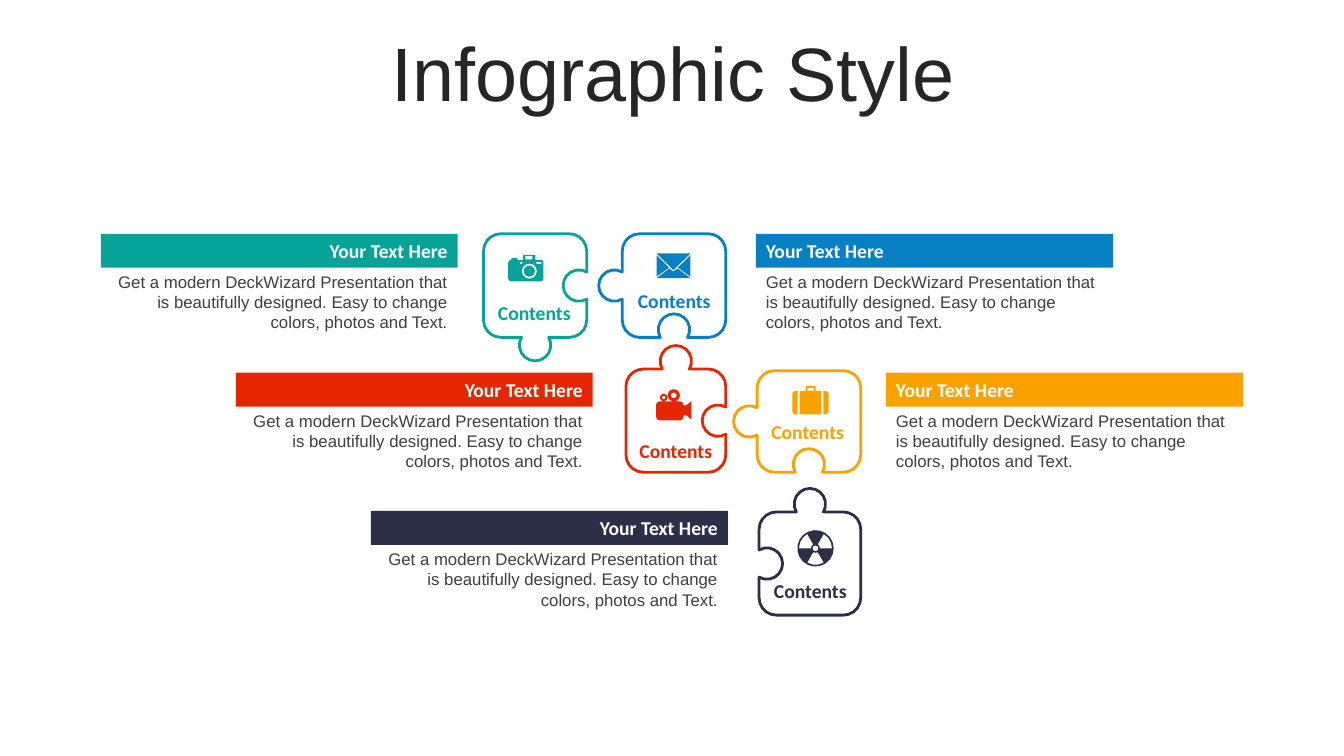
from math import asin, ceil, cos, pi, radians, sin, sqrt

from pptx import Presentation
from pptx.dml.color import RGBColor
from pptx.enum.shapes import MSO_SHAPE
from pptx.enum.text import MSO_ANCHOR, MSO_AUTO_SIZE, PP_ALIGN
from pptx.util import Pt

LEFT, CENTER, RIGHT = PP_ALIGN.LEFT, PP_ALIGN.CENTER, PP_ALIGN.RIGHT
MIDDLE, TOP = MSO_ANCHOR.MIDDLE, MSO_ANCHOR.TOP
FIT, NO_FIT = MSO_AUTO_SIZE.SHAPE_TO_FIT_TEXT, MSO_AUTO_SIZE.NONE
RECT = MSO_SHAPE.RECTANGLE

COLORS = {
    "teal": "07A398", "blue": "0680C3", "red": "E62601", "yellow": "FBA200",
    "navy": "2C2F45", "white": "FFFFFF", "title": "262626", "body": "3F3F3F",
}
TITLE = "Infographic Style"
HEADING = "Your Text Here"
BODY = ("Get a modern DeckWizard Presentation that is beautifully designed. "
        "Easy to change colors, photos and Text.")
LABEL = "Contents"

PANELS = [
    ("blue", 540, 167, LEFT),
    ("navy", 265, 365, RIGHT),
    ("yellow", 632.9, 266.2, LEFT),
    ("teal", 72, 167, RIGHT),
    ("red", 168.5, 266.2, RIGHT),
]
PIECES = [
    ("teal", (345.4, 167, 73.7, 74), {"right": -1, "bottom": 1}, (344.2, 211.7)),
    ("blue", (444.5, 167, 73.9, 74), {"left": 1, "bottom": -1}, (444.2, 202.8)),
    ("red", (447.1, 263.6, 71.3, 73.7), {"top": 1, "right": -1}, (445.3, 309.9)),
    ("yellow", (540.8, 264.8, 74, 72.5), {"left": 1, "bottom": -1}, (539.5, 296.1)),
    ("navy", (542.2, 365.7, 72.6, 73.7), {"top": 1, "left": -1}, (541.4, 410.2)),
]
ICONS = [
    ("blue", 469, 181, [
        ("poly", (15, 10.8), (24.2, 17.6), (0, 17.6), (9.2, 10.8), (12.1, 13)),
        ("poly", (24.2, 1.3), (24.2, 16.6), (15.2, 10.2)),
        ("poly", (0, 1.3), (9, 10.2), (0, 16.6)),
        ("poly", (0, 0), (24.2, 0), (12.1, 12)),
    ]),
    ("navy", 569.5, 378.7, [
        ("disc", 13, 13, 13),
        ("disc", 13, 13, 2.1),
        ("wedge", 13, 13, 3.2, 11.8, 60),
        ("wedge", 13, 13, 3.2, 11.8, 180),
        ("wedge", 13, 13, 3.2, 11.8, 300),
    ]),
    ("teal", 363, 182, [
        ("box", 0, 3.6, 25.2, 19, (2, 2, 2, 2)),
        ("box", 10.7, 0, 19.5, 3.6, (0, 0, 0, 0)),
        ("box", 12.2, 0.9, 17.3, 3.4, (0, 0, 0, 0)),
        ("box", 2.2, 2.2, 6.5, 3.6, (0, 0, 0, 0)),
        ("box", 8.6, 5, 10.1, 6.5, (0, 0, 0, 0)),
        ("box", 20.2, 5, 23.8, 6.5, (0, 0, 0, 0)),
        ("disc", 15.1, 11.7, 5.4),
        ("disc", 15.1, 11.7, 4),
    ]),
    ("red", 468.7, 278, [
        ("box", 0, 8.8, 19.4, 22.2, (2.2, 2.2, 2.2, 2.2)),
        ("poly", (19.4, 11.5), (21.6, 11.5), (25.2, 8.6), (25.2, 21.6),
         (21.6, 18.7), (19.4, 18.7)),
        ("disc", 12.6, 4.4, 4.4),
        ("disc", 12.6, 4.4, 2.1),
        ("disc", 5.4, 6, 2.7),
        ("disc", 5.4, 6, 1.3),
    ]),
    ("yellow", 566, 275.7, [
        ("box", 0, 3.6, 3.7, 20.2, (2, 0, 0, 2)),
        ("box", 5.2, 3.6, 20.8, 20.2, (0, 0, 0, 0)),
        ("box", 22.2, 3.6, 25.9, 20.2, (0, 2, 2, 0)),
        ("box", 9.5, 0, 16.7, 3.6, (1, 1, 0, 0)),
        ("box", 10.7, 1.4, 15.5, 3.4, (0, 0, 0, 0)),
    ]),
]

CORNER, KNOB, OFFSET = 12.4, 11.2, 5.6
PANEL_W, BAR_H, BODY_DROP, BODY_H = 254.9, 24.24, 23.6, 50.9
LABEL_W, SMOOTHNESS = 74.9, 0.8
SIDES = [("top", (1, 0), (0, -1)), ("right", (0, 1), (1, 0)),
         ("bottom", (-1, 0), (0, 1)), ("left", (0, -1), (-1, 0))]


def arc(center, u, n, radius, start, end):
    steps = ceil(abs(end - start) * sqrt(radius) * SMOOTHNESS)
    angles = [start + (end - start) * i / steps for i in range(steps + 1)]
    return [tuple(c + radius * (cos(a) * du + sin(a) * dn)
                  for c, du, dn in zip(center, u, n)) for a in angles]


def outline(left, top, width, height, radii, knobs):
    points = []
    mid = (left + width / 2, top + height / 2)
    for (side, u, n), radius in zip(SIDES, radii):
        along, out = (width, height) if u[0] else (height, width)
        if side in knobs:
            sign = knobs[side]
            lift = out / 2 + sign * OFFSET
            center = [m + lift * d for m, d in zip(mid, n)]
            tilt = asin(OFFSET / KNOB)
            points += arc(center, u, [sign * d for d in n], KNOB, pi + tilt, -tilt)
        center = [m + (along / 2 - radius) * du + (out / 2 - radius) * dn
                  for m, du, dn in zip(mid, u, n)]
        points += arc(center, u, n, radius, pi / 2, 0) if radius else [tuple(center)]
    return points


def contour(kind, *args):
    if kind == "poly":
        return list(args)
    if kind == "box":
        x0, y0, x1, y1, (tl, tr, br, bl) = args
        return outline(x0, y0, x1 - x0, y1 - y0, (tr, br, bl, tl), {})
    center = args[:2]
    if kind == "disc":
        return arc(center, (1, 0), (0, 1), args[2], 0, 2 * pi)
    inner, outer, angle = args[2:]
    start, end = radians(angle), radians(angle + 60)
    return (arc(center, (1, 0), (0, 1), outer, start, end)
            + arc(center, (1, 0), (0, 1), inner, end, start))


def paint(sp, fill, line=None):
    sp.shadow.inherit = False
    sp.fill.solid()
    sp.fill.fore_color.rgb = RGBColor.from_string(COLORS[fill])
    if line:
        sp.line.color.rgb = RGBColor.from_string(COLORS[line])
        sp.line.width = Pt(2)
    else:
        sp.line.fill.background()


def draw(s, contours, dx=0, dy=0):
    scaled = [[(Pt(x + dx), Pt(y + dy)) for x, y in c] for c in contours]
    builder = s.shapes.build_freeform(*scaled[0][0], scale=1.0)
    for i, points in enumerate(scaled):
        if i:
            builder.move_to(*points[0])
        builder.add_line_segments(points[1:], close=True)
    return builder.convert_to_shape()


def write(sp, text, font, size, color, align, bold=False, anchor=TOP, fit=FIT):
    tf = sp.text_frame
    tf.word_wrap = True
    tf.auto_size = fit
    tf.vertical_anchor = anchor
    p = tf.paragraphs[0]
    p.alignment = align
    r = p.add_run()
    r.text = text
    r.font.name, r.font.size, r.font.bold = font, Pt(size), bold
    r.font.color.rgb = RGBColor.from_string(COLORS[color])
    return p


def add_box(s, left, top, width, height):
    return s.shapes.add_textbox(Pt(left), Pt(top), Pt(width), Pt(height))


def main():
    prs = Presentation()
    prs.slide_width, prs.slide_height = Pt(960), Pt(540)
    s = prs.slides.add_slide(prs.slide_layouts[6])

    title = add_box(s, 25.2, 26.6, 911.5, 56.9)
    p = write(title, TITLE, "Arial", 54, "title", CENTER, anchor=MIDDLE, fit=NO_FIT)
    p.line_spacing = 0.9

    for color, rect, knobs, _ in PIECES:
        paint(draw(s, [outline(*rect, [CORNER] * 4, knobs)]), "white", color)

    for color, left, top, align in PANELS:
        bar = s.shapes.add_shape(RECT, Pt(left), Pt(top), Pt(PANEL_W), Pt(BAR_H))
        paint(bar, color)
        write(bar, HEADING, "Calibri", 14, "white", align, bold=True)
        body = add_box(s, left, top + BODY_DROP, PANEL_W, BODY_H)
        write(body, BODY, "Arial", 12, "body", align)

    for color, _, _, (left, top) in PIECES:
        label = add_box(s, left, top, LABEL_W, BAR_H)
        write(label, LABEL, "Calibri", 14, color, CENTER, bold=True)

    for color, left, top, parts in ICONS:
        paint(draw(s, [contour(*part) for part in parts], left, top), color)

    prs.save("out.pptx")


if __name__ == "__main__":
    main()
